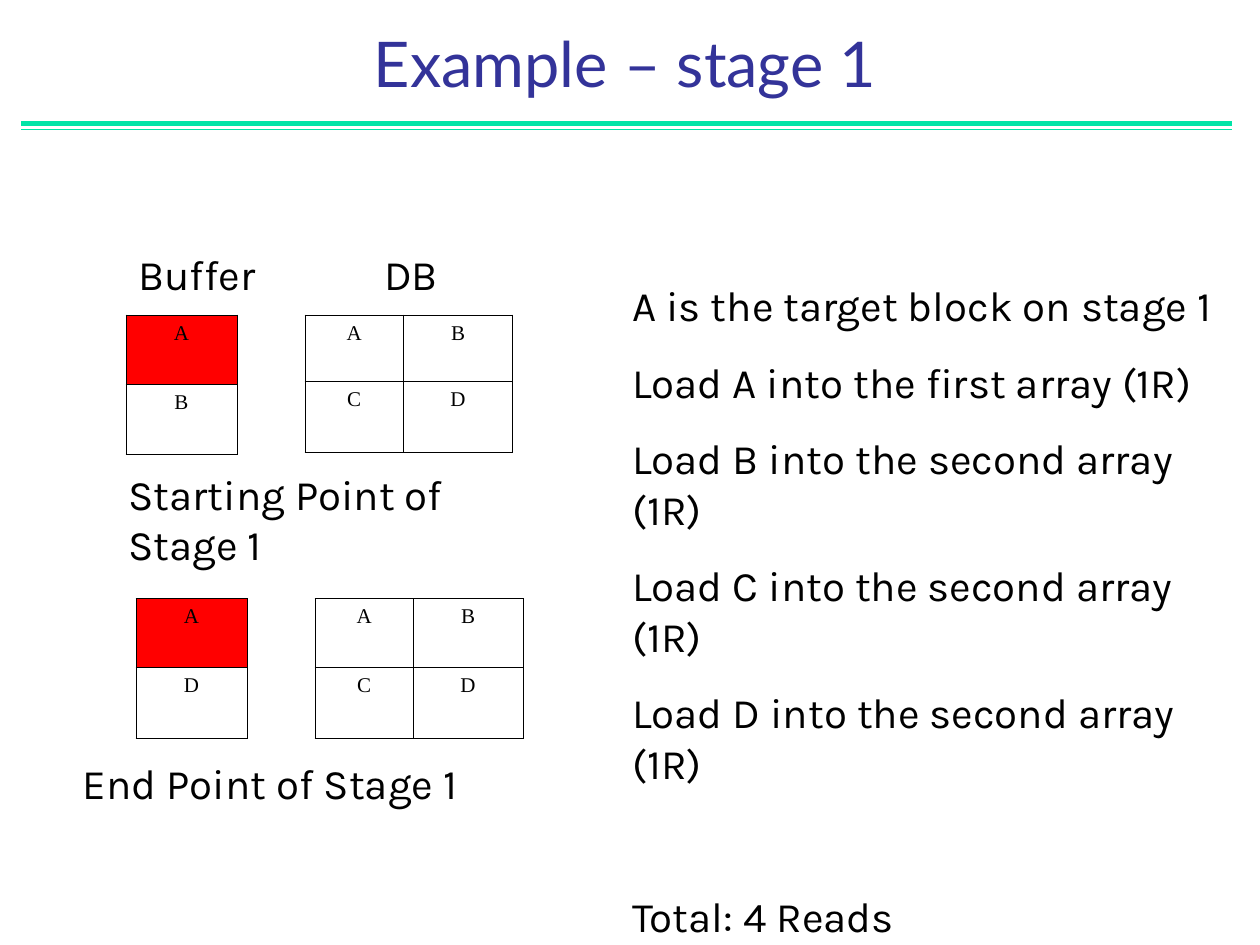
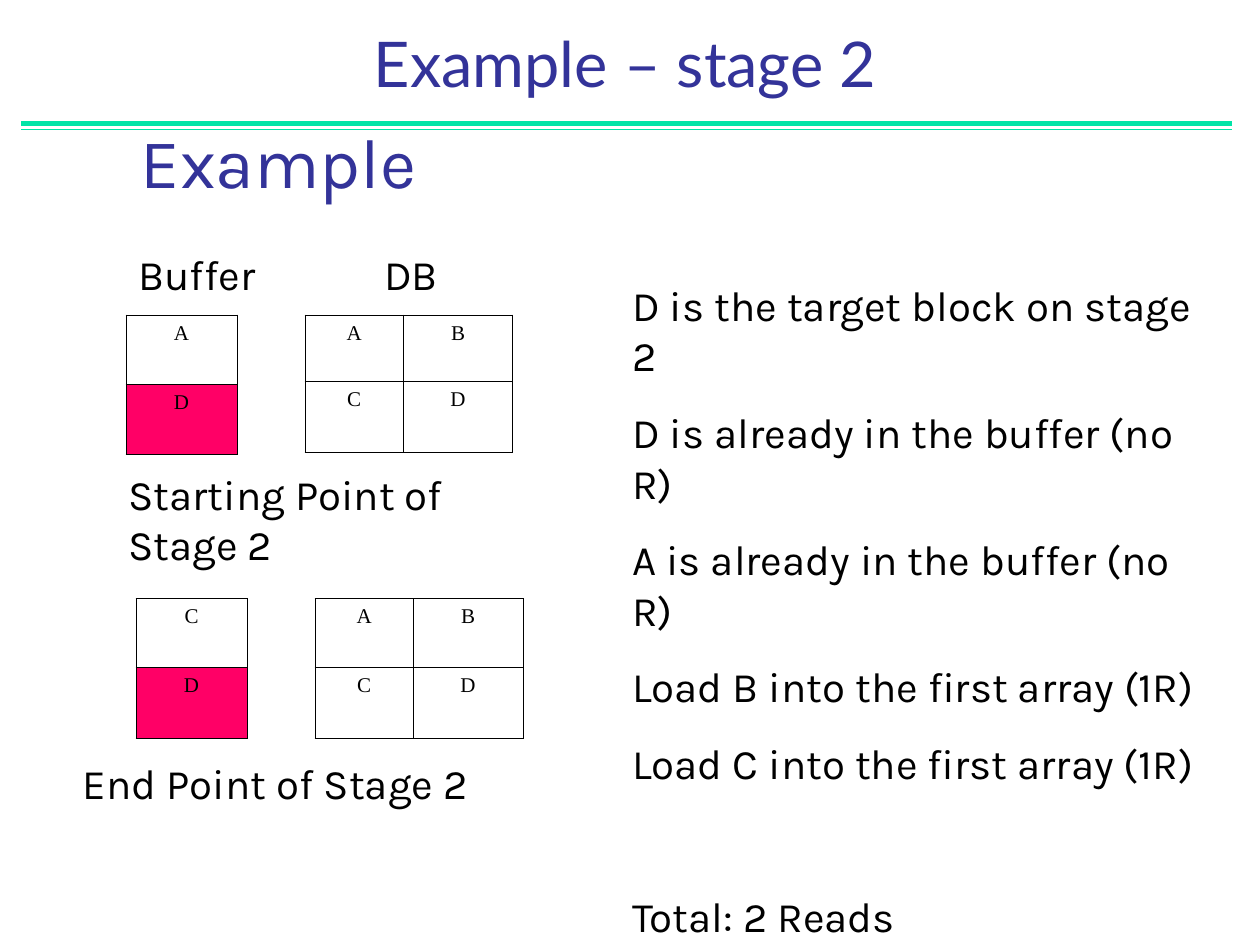
from dataclasses import dataclass

from lxml.etree import SubElement
from pptx import Presentation
from pptx.dml.color import RGBColor
from pptx.enum.shapes import MSO_CONNECTOR
from pptx.enum.text import MSO_ANCHOR, PP_ALIGN
from pptx.oxml.ns import qn
from pptx.util import Inches, Pt


@dataclass(frozen=True)
class Theme:
    ink: RGBColor = RGBColor.from_string("000000")
    navy: RGBColor = RGBColor.from_string("333399")
    mint: RGBColor = RGBColor.from_string("00E4A7")
    title: tuple = ("Lato", 36)
    head: tuple = ("Karla", 40)
    body: tuple = ("Karla", 24)
    cell: tuple = ("Times New Roman", 12)
    gap: float = 15
    break_gap: float = 59
    border: float = 0.45


THEME = Theme()
RULES = [(0.98, 3), (1.03, 0.75)]
BLOCKS = [["A", "B"], ["C", "D"]]
STAGES = [
    {
        "num": 1,
        "head": None,
        "start": ["A", "B"],
        "end": ["A", "D"],
        "target": "A",
        "fill": "FF0000",
        "steps": [
            "A is the target block on stage 1",
            "Load A into the first array (1R)",
            "Load B into the second array (1R)",
            "Load C into the second array (1R)",
            "Load D into the second array (1R)",
        ],
        "total": "Total: 4 Reads",
    },
    {
        "num": 2,
        "head": "Example",
        "start": ["A", "D"],
        "end": ["C", "D"],
        "target": "D",
        "fill": "FF0066",
        "steps": [
            "D is the target block on stage 2",
            "D is already in the buffer (no R)",
            "A is already in the buffer (no R)",
            "Load B into the first array (1R)",
            "Load C into the first array (1R)",
        ],
        "total": "Total: 2 Reads",
    },
]


def apply(obj, **values):
    for name, value in values.items():
        setattr(obj, name, value)


def style(para, look, color, align=PP_ALIGN.LEFT):
    face, size = look
    para.alignment = align
    apply(para.font, name=face, size=Pt(size))
    para.font.color.rgb = color


def add_text(slide, box, lines, look=THEME.body, color=THEME.ink,
             align=PP_ALIGN.LEFT, anchor=MSO_ANCHOR.TOP, wrap=True):
    frame = slide.shapes.add_textbox(*map(Inches, box)).text_frame
    apply(frame, word_wrap=wrap, vertical_anchor=anchor)
    for pos, line in enumerate(lines):
        para = frame.add_paragraph() if pos else frame.paragraphs[0]
        para.text = line
        style(para, look, color, align)
        if pos:
            para.space_before = Pt(THEME.gap)
    return frame


def add_rules(slide, left, right):
    for top, width in RULES:
        rule = slide.shapes.add_connector(
            MSO_CONNECTOR.STRAIGHT, *map(Inches, (left, top, right, top)))
        rule.line.color.rgb = THEME.mint
        rule.line.width = Pt(width)
        SubElement(rule._element.spPr, qn("a:effectLst"))


def add_border(cell):
    props = cell._tc.get_or_add_tcPr()
    for side in ("lnL", "lnR", "lnT", "lnB"):
        line = SubElement(props, qn(f"a:{side}"), w=str(Pt(THEME.border)))
        fill = SubElement(line, qn("a:solidFill"))
        SubElement(fill, qn("a:srgbClr"), val=str(THEME.ink))


def add_grid(slide, left, top, cols, rows, blocks, fills):
    box = map(Inches, (left, top, sum(cols), sum(rows)))
    table = slide.shapes.add_table(len(rows), len(cols), *box).table
    apply(table, first_row=False, horz_banding=False)
    for col, width in zip(table.columns, cols):
        col.width = Inches(width)
    for row, height, names in zip(table.rows, rows, blocks):
        row.height = Inches(height)
        for cell, name in zip(row.cells, names):
            cell.text = name
            style(cell.text_frame.paragraphs[0], THEME.cell, THEME.ink,
                  PP_ALIGN.CENTER)
            add_border(cell)
            if name in fills:
                cell.fill.solid()
                cell.fill.fore_color.rgb = RGBColor.from_string(fills[name])
            else:
                cell.fill.background()


def add_state(slide, left, top, buffer, fills, first):
    add_grid(slide, left, top, [0.88], [0.55, 0.56],
             [[name] for name in buffer], fills)
    add_grid(slide, left + 1.42, top, [0.78, 0.87], [first, 0.56], BLOCKS, {})


def add_header(slide, box, stage):
    add_rules(slide, box[0], 9.78)
    add_text(slide, box, [f"Example – stage {stage['num']}"], THEME.title,
             THEME.navy, PP_ALIGN.CENTER, MSO_ANCHOR.BOTTOM)
    if stage["head"]:
        add_text(slide, (box[0] + 0.85, 0.11, 7.83, 1.55), [stage["head"]],
                 THEME.head, THEME.navy, anchor=MSO_ANCHOR.BOTTOM)


def add_states(slide, left, top, stage):
    num = stage["num"]
    fills = {stage["target"]: stage["fill"]}
    add_text(slide, (left, top, 1.17, 0.5), ["Buffer"])
    add_text(slide, (left + 1.95, top, 0.66, 0.5), ["DB"], wrap=False)
    add_state(slide, left, top + 0.58, stage["start"], fills, 0.53)
    add_text(slide, (left - 0.08, top + 1.75, 3.25, 0.9),
             [f"Starting Point of Stage {num}"])
    add_state(slide, left + 0.08, top + 2.83, stage["end"], fills, 0.55)
    add_text(slide, (left - 0.44, top + 4.04, 3.35, 0.5),
             [f"End Point of Stage {num}"], wrap=False)


def add_steps(slide, box, stage):
    frame = add_text(slide, box, stage["steps"] + [stage["total"]])
    frame.paragraphs[-1].space_before = Pt(THEME.break_gap)


def add_stage(deck, stage):
    slide = deck.slides.add_slide(deck.slide_layouts[6])
    add_header(slide, (0.17, 0.17, 9.58, 0.67), stage)
    add_states(slide, 1, 1.92, stage)
    add_steps(slide, (4.92, 2.17, 4.83, 5.33), stage)


def main():
    deck = Presentation()
    apply(deck, slide_width=Inches(10), slide_height=Inches(7.5))
    for stage in STAGES:
        add_stage(deck, stage)
    deck.save("out.pptx")


if __name__ == "__main__":
    main()
